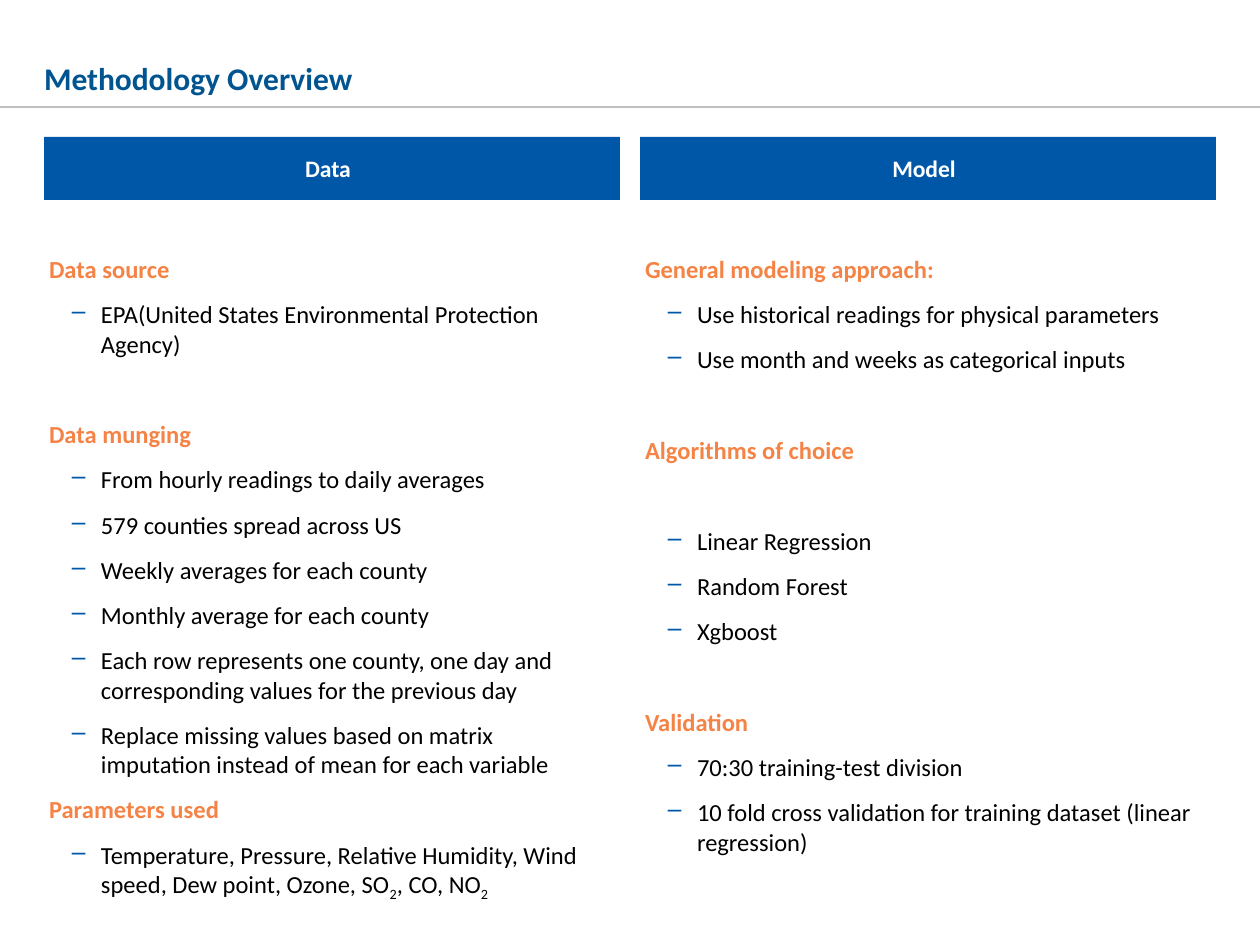
"""Build the methodology overview slide."""
from lxml import etree
from pptx import Presentation, util as u
from pptx.dml.color import RGBColor
from pptx.enum import shapes, text
from pptx.oxml import ns

SCALE = 914400 / 126
BLUE, ORANGE = "0057A8", "F58345"
TOP, WIDTH = 254, 576
COLUMNS = [
    (44, 691, "Data", [
        ("Data source", 9, ["EPA(United States Environmental Protection Agency)"], 9),
        ("Data munging", 35, [
            "From hourly readings to daily averages",
            "579 counties spread across US",
            "Weekly averages for each county",
            "Monthly average for each county",
            "Each row represents one county, one day and corresponding values for the previous day",
            "Replace missing values based on matrix imputation instead of mean for each variable",
        ], 9),
        ("Parameters used", 9, [
            "Temperature, Pressure, Relative Humidity, Wind speed, Dew point, Ozone, SO_2_, CO, NO_2",
        ], 9),
    ]),
    (640, 662, "Model", [
        ("General modeling approach:", 9, [
            "Use historical readings for physical parameters",
            "Use month and weeks as categorical inputs",
        ], 9),
        ("Algorithms of choice", 35, ["Linear Regression", "Random Forest", "Xgboost"], 35),
        ("Validation", 35, [
            "70:30 training-test division",
            "10 fold cross validation for training dataset (linear regression)",
        ], 9),
    ]),
]


def px(*vals):
    """Turn pixel lengths into EMU."""
    return [u.Emu(round(val * SCALE)) for val in vals]


def color(code):
    """Turn a hex string into a colour."""
    return RGBColor.from_string(code)


def setup(frame, insets, anchor):
    """Set the insets, anchor and wrapping of a text frame."""
    frame.margin_left, frame.margin_top, frame.margin_right, frame.margin_bottom = px(*insets)
    frame.vertical_anchor = anchor
    frame.word_wrap = True
    frame.auto_size = text.MSO_AUTO_SIZE.NONE


def indent(para, left, hang=0):
    """Set the left margin and first-line indent of a paragraph."""
    props = para._p.get_or_add_pPr()
    for name, val in zip(("marL", "indent"), px(left, hang)):
        props.set(name, str(val))


def dash(para):
    """Give a paragraph a hanging blue dash."""
    indent(para, 57, -29)
    props = para._p.get_or_add_pPr()
    tint = etree.SubElement(props, ns.qn("a:buClr"))
    etree.SubElement(tint, ns.qn("a:srgbClr"), val=BLUE)
    etree.SubElement(props, ns.qn("a:buChar"), char="–")


def write(para, words, size=14, ink="000000", bold=False, before=0,
          align=text.PP_ALIGN.LEFT):
    """Write words, lowering each part set between underscores."""
    para.alignment = align
    para.space_before = u.Pt(before)
    for num, part in enumerate(words.split("_")):
        run = para.add_run()
        run.text = part
        font = run.font
        font.name, font.size, font.bold = "Calibri", u.Pt(size), bold
        font.color.rgb = color(ink)
        if num % 2:
            font._element.set("baseline", "-25000")


def add_title(slide, words):
    """Place the title and the rule below it."""
    title = slide.shapes.title
    title.left, title.top, title.width, title.height = px(44, 29, 1172, 78)
    setup(title.text_frame, (0, 3, 0, 10), text.MSO_ANCHOR.BOTTOM)
    write(title.text_frame.paragraphs[0], words, size=18, ink="005490", bold=True)
    rule = slide.shapes.add_connector(shapes.MSO_CONNECTOR.STRAIGHT, *px(0, 107, 1260, 107))
    rule.line.color.rgb = color("BFBFBF")
    rule.line.width = u.Pt(0.75)
    etree.SubElement(rule._element.spPr, ns.qn("a:effectLst"))


def add_head(slide, left, words):
    """Add the blue bar that heads a column."""
    bar = slide.shapes.add_shape(shapes.MSO_SHAPE.RECTANGLE, *px(left, 137, WIDTH, 63))
    bar.shadow.inherit = False
    bar.fill.solid()
    bar.fill.fore_color.rgb = color(BLUE)
    bar.line.fill.background()
    setup(bar.text_frame, (0, 0, 13, 0), text.MSO_ANCHOR.MIDDLE)
    para = bar.text_frame.paragraphs[0]
    indent(para, 5)
    write(para, words, size=13.5, ink="FFFFFF", bold=True, align=text.PP_ALIGN.CENTER)


def add_body(slide, left, height, groups):
    """Add the headed bullet groups of a column."""
    frame = slide.shapes.add_textbox(*px(left, TOP, WIDTH, height)).text_frame
    setup(frame, (0, 0, 13, 0), text.MSO_ANCHOR.TOP)
    for num, (head, gap, points, first) in enumerate(groups):
        para = frame.add_paragraph() if num else frame.paragraphs[0]
        indent(para, 5)
        write(para, head, ink=ORANGE, bold=True, before=gap if num else 0)
        for row, point in enumerate(points):
            para = frame.add_paragraph()
            dash(para)
            write(para, point, before=9 if row else first)


def main():
    """Build and save the slide."""
    deck = Presentation()
    deck.slide_width, deck.slide_height = px(1260, 945)
    slide = deck.slides.add_slide(deck.slide_layouts[5])
    add_title(slide, "Methodology Overview")
    for left, height, head, groups in COLUMNS:
        add_head(slide, left, head)
        add_body(slide, left, height, groups)
    deck.save("out.pptx")


if __name__ == "__main__":
    main()
